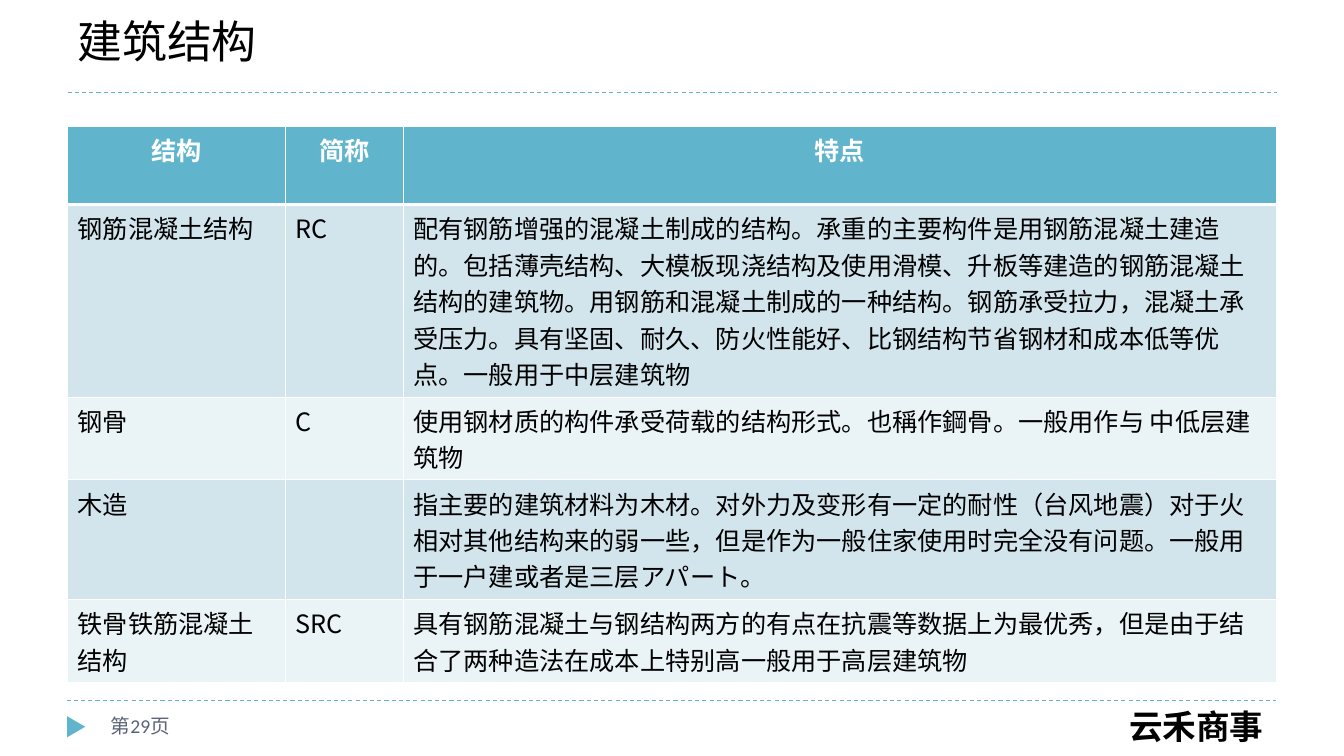
from lxml import etree
from pptx import Presentation
from pptx.dml.color import RGBColor
from pptx.enum.dml import MSO_LINE
from pptx.enum.shapes import MSO_CONNECTOR, MSO_SHAPE
from pptx.enum.text import MSO_ANCHOR, PP_ALIGN
from pptx.oxml.ns import qn
from pptx.util import Inches, Pt

STRAIGHT, TRIANGLE = MSO_CONNECTOR.STRAIGHT, MSO_SHAPE.ISOSCELES_TRIANGLE
DASH, MIDDLE = MSO_LINE.DASH, MSO_ANCHOR.MIDDLE
LEFT, CENTER, RIGHT = PP_ALIGN.LEFT, PP_ALIGN.CENTER, PP_ALIGN.RIGHT
COLORS = {"accent": "60B5CC", "band": "D2E5EC", "pale": "EAF3F6",
          "text": "000000", "header": "FFFFFF", "page": "5A6378"}
BODY_FONT, BRAND_FONT, PAGE_FONT = "Noto Sans CJK JP", "Noto Sans CJK SC", "Calibri"
SLIDE_SIZE = (13.33, 7.5)
MARGIN, CONTENT_WIDTH = 0.67, 12
COLUMN_WIDTHS = (2.16, 1.17, 8.66)
ROW_HEIGHTS = (0.78, 1.91, 0.82, 1.19, 0.82)
ROWS = [
    ("结构", "简称", "特点"),
    ("钢筋混凝土结构", "RC",
     "配有钢筋增强的混凝土制成的结构。承重的主要构件是用钢筋混凝土建造的。"
     "包括薄壳结构、大模板现浇结构及使用滑模、升板等建造的钢筋混凝土结构的建筑物。"
     "用钢筋和混凝土制成的一种结构。钢筋承受拉力，混凝土承受压力。"
     "具有坚固、耐久、防火性能好、比钢结构节省钢材和成本低等优点。一般用于中层建筑物"),
    ("钢骨", "C",
     "使用钢材质的构件承受荷载的结构形式。也稱作鋼骨。一般用作与 中低层建筑物"),
    ("木造", "",
     "指主要的建筑材料为木材。对外力及变形有一定的耐性（台风地震）"
     "对于火相对其他结构来的弱一些，但是作为一般住家使用时完全没有问题。"
     "一般用于一户建或者是三层アパート。"),
    ("铁骨铁筋混凝土结构", "SRC",
     "具有钢筋混凝土与钢结构两方的有点在抗震等数据上为最优秀，"
     "但是由于结合了两种造法在成本上特别高一般用于高层建筑物"),
]


def color(name):
    """Return the palette colour with this name."""
    return RGBColor.from_string(COLORS[name])


def write(text_frame, text, size, color_name, font=BODY_FONT, bold=False,
          align=LEFT, east_asian=None):
    """Fill a text frame with one formatted paragraph without hanging punctuation."""
    text_frame.text = text
    paragraph = text_frame.paragraphs[0]
    paragraph.alignment = align
    paragraph.font.size = Pt(size)
    paragraph._p.get_or_add_pPr().set("hangingPunct", "0")
    for run in paragraph.runs:
        run.font.size = Pt(size)
        run.font.bold = bold
        run.font.color.rgb = color(color_name)
        run.font.name = font
        etree.SubElement(run.font._element, qn("a:ea"), typeface=east_asian or font)


def add_text(slide, box, text, size, color_name, **style):
    """Add a wrapped, vertically centred text box."""
    shape = slide.shapes.add_textbox(*map(Inches, box))
    shape.text_frame.word_wrap = True
    shape.text_frame.vertical_anchor = MIDDLE
    write(shape.text_frame, text, size, color_name, **style)


def add_rule(slide, left, top, width):
    """Add a dashed horizontal rule."""
    rule = slide.shapes.add_connector(
        STRAIGHT, Inches(left), Inches(top), Inches(left + width), Inches(top))
    rule.line.color.rgb = color("accent")
    rule.line.width = Pt(0.75)
    rule.line.dash_style = DASH
    etree.SubElement(rule._element.spPr, qn("a:effectLst"))


def add_header(slide, left, top, width):
    """Add the title and the rule below it."""
    add_text(slide, (left, top, width, 0.64), "建筑结构", 32, "text")
    add_rule(slide, left, top + 0.84, width)


def set_borders(cell, bottom_width):
    """Draw white cell borders, with the given width in points at the bottom."""
    properties = cell._tc.get_or_add_tcPr()
    widths = {"a:lnL": 1, "a:lnR": 1, "a:lnT": 1, "a:lnB": bottom_width}
    for position, (tag, width) in enumerate(widths.items()):
        border = etree.Element(qn(tag), w=str(Pt(width)))
        fill = etree.SubElement(border, qn("a:solidFill"))
        etree.SubElement(fill, qn("a:srgbClr"), val=COLORS["header"])
        properties.insert(position, border)


def add_structure_table(slide, left, top):
    """Add the table of building structures."""
    frame = slide.shapes.add_table(
        len(ROWS), len(COLUMN_WIDTHS), Inches(left), Inches(top),
        Inches(sum(COLUMN_WIDTHS)), Inches(sum(ROW_HEIGHTS)))
    table = frame.table
    for column, column_width in zip(table.columns, COLUMN_WIDTHS):
        column.width = Inches(column_width)
    for row_index, texts in enumerate(ROWS):
        table.rows[row_index].height = Inches(ROW_HEIGHTS[row_index])
        is_header = row_index == 0
        fill = "accent" if is_header else ("pale", "band")[row_index % 2]
        for column_index, text in enumerate(texts):
            cell = table.cell(row_index, column_index)
            cell.fill.solid()
            cell.fill.fore_color.rgb = color(fill)
            if is_header:
                set_borders(cell, 3)
            write(cell.text_frame, text, 18, "header" if is_header else "text",
                  bold=is_header, align=CENTER if is_header else LEFT)


def add_footer(slide, left, top, width):
    """Add the rule, page marker, page number and company name."""
    add_rule(slide, left, top, width)
    marker = slide.shapes.add_shape(
        TRIANGLE, Inches(left - 0.01), Inches(top + 0.17), Inches(0.21), Inches(0.18))
    marker.rotation = 90
    marker.shadow.inherit = False
    marker.fill.solid()
    marker.fill.fore_color.rgb = color("accent")
    marker.line.fill.background()
    add_text(slide, (left + 0.34, top + 0.05, 2.22, 0.4), "第29页", 14, "page",
             font=PAGE_FONT, east_asian=BRAND_FONT)
    add_text(slide, (left + 2.84, top, width - 2.87, 0.5), "云禾商事", 24, "text",
             font=BRAND_FONT, bold=True, align=RIGHT)


def main():
    """Build and save the slide."""
    presentation = Presentation()
    presentation.slide_width, presentation.slide_height = map(Inches, SLIDE_SIZE)
    slide = presentation.slides.add_slide(presentation.slide_layouts[6])
    add_header(slide, MARGIN, 0.08, CONTENT_WIDTH)
    add_structure_table(slide, MARGIN, 1.25)
    add_footer(slide, MARGIN - 0.01, 6.95, CONTENT_WIDTH)
    presentation.save("out.pptx")


if __name__ == "__main__":
    main()
